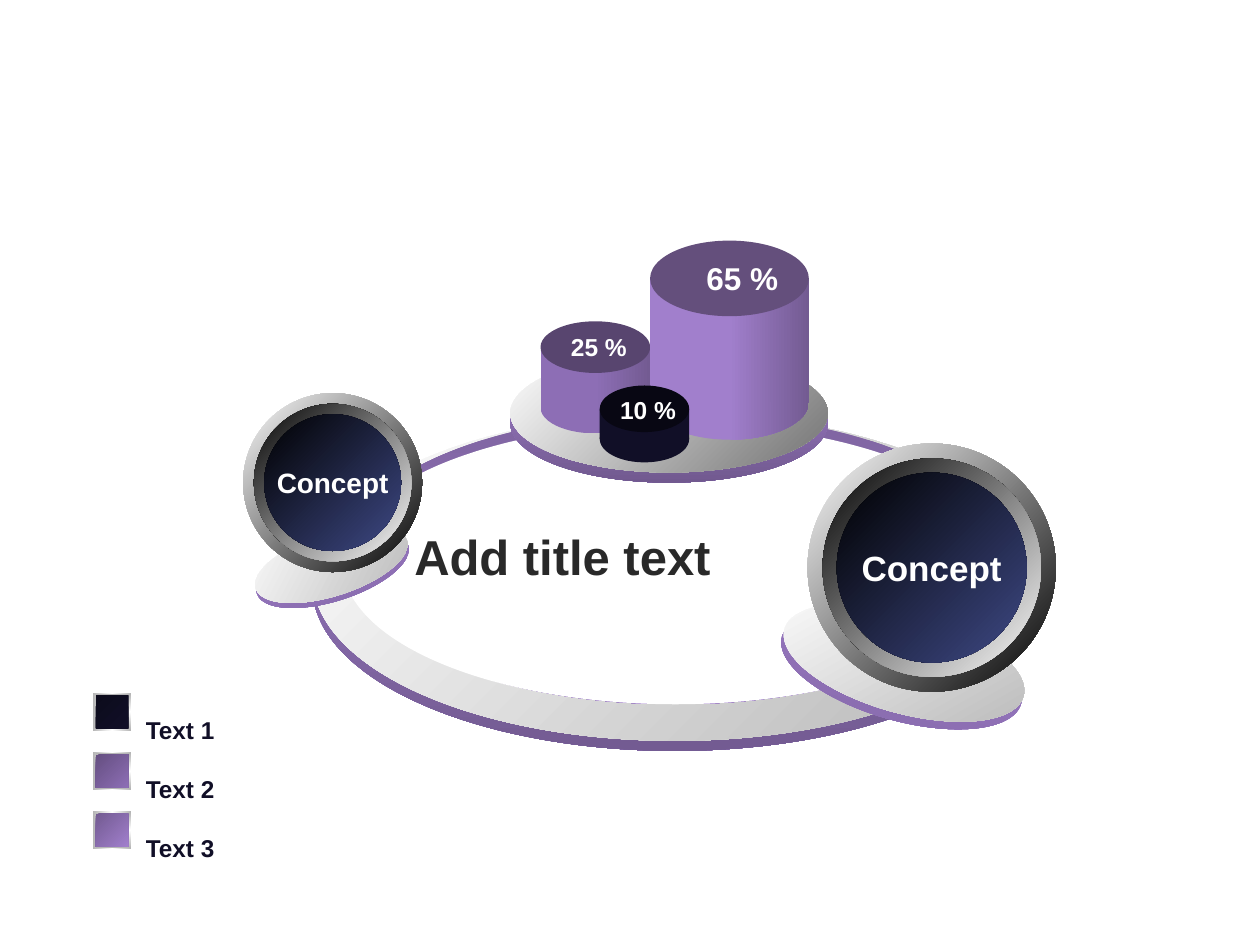
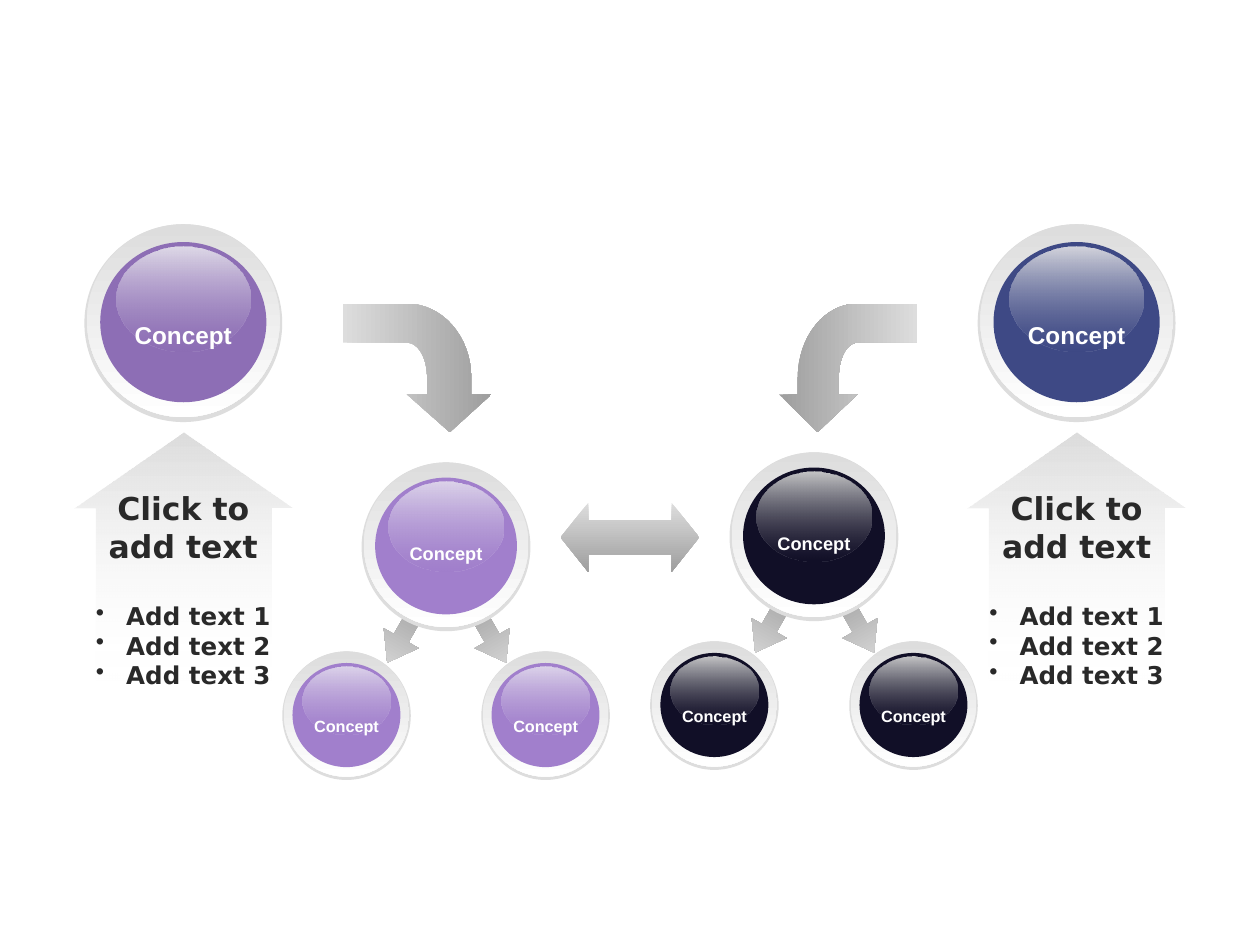
from dataclasses import dataclass

from pptx import Presentation
from pptx.dml.color import RGBColor as Rgb
from pptx.enum.shapes import MSO_SHAPE as Kind
from pptx.enum.text import MSO_ANCHOR as Anchor, PP_ALIGN as Align
from pptx.oxml import parse_xml
from pptx.oxml.ns import nsdecls, qn
from pptx.util import Inches, Pt


@dataclass(frozen=True)
class Theme:
    """Colours, fonts and type sizes of the deck."""
    white: str = "FFFFFF"
    black: str = "000000"
    ink: str = "292929"
    night: str = "110F27"
    navy: str = "3E4985"
    plum: str = "8D6EB5"
    lilac: str = "A17FCC"
    shade: str = "735B92"
    rim: str = "8367A6"
    pale: str = "DDDDDD"
    grey: str = "9E9E9E"
    steel: str = "B6B6B6"
    dark: str = "727272"
    sans: str = "Arial"
    body: str = "DejaVu Sans"
    title: int = 28
    large: int = 24
    medium: int = 20
    head: int = 18
    small: int = 16
    note: int = 14


T = Theme()


def blend(*stops, angle=90):
    """Describe a gradient of evenly spaced colours or (colour, alpha) pairs."""
    return stops, angle


def paint(shape, fill):
    """Give a shape a solid, graded or empty fill and no line or shadow."""
    shape.shadow.inherit = False
    shape.line.fill.background()
    if isinstance(fill, str):
        shape.fill.solid()
        shape.fill.fore_color.rgb = Rgb.from_string(fill)
        return
    shape.fill.background()
    if fill is None:
        return
    stops, angle = fill
    marks = ""
    for i, stop in enumerate(stops):
        tone, alpha = (stop, 100) if isinstance(stop, str) else stop
        spot = 100000 * i // (len(stops) - 1)
        marks += (f'<a:gs pos="{spot}"><a:srgbClr val="{tone}">'
                  f'<a:alpha val="{alpha * 1000}"/></a:srgbClr></a:gs>')
    grad = parse_xml(f'<a:gradFill {nsdecls("a")} rotWithShape="1"><a:gsLst>{marks}'
                     f'</a:gsLst><a:lin ang="{angle * 60000}" scaled="0"/></a:gradFill>')
    props = shape._element.spPr
    props.replace(props.find(qn("a:noFill")), grad)


def draw(shapes, kind, box, fill=None, turn=0, adjust=()):
    """Add a preset shape."""
    shape = shapes.add_shape(kind, *map(Inches, box))
    shape.rotation = turn
    for i, value in enumerate(adjust):
        shape.adjustments[i] = value
    paint(shape, fill)
    return shape


def oval(shapes, box, fill, turn=0):
    """Add an ellipse."""
    return draw(shapes, Kind.OVAL, box, fill, turn)


def style(para, size, color, font=T.sans, align=Align.LEFT):
    """Set the bold type of a paragraph."""
    para.alignment = align
    para.font.size, para.font.name, para.font.bold = Pt(size), font, True
    para.font.color.rgb = Rgb.from_string(color)


def write(shape, text, size, color=T.white, align=Align.CENTER, wrap=False):
    """Put one line of text in the middle of a shape."""
    frame = shape.text_frame
    frame.word_wrap, frame.vertical_anchor = wrap, Anchor.MIDDLE
    frame.text = text
    style(frame.paragraphs[0], size, color, align=align)


def label(shapes, box, text, size, color, align=Align.LEFT):
    """Add a text box with lowered type."""
    frame = shapes.add_textbox(*map(Inches, box)).text_frame
    frame.word_wrap = True
    para = frame.paragraphs[0]
    run = para.add_run()
    run.text = text
    run._r.get_or_add_rPr().set("baseline", "-25000")
    style(para, size, color, align=align)


def trace(shapes, paths, fill):
    """Add a closed outline of one or more paths in inches."""
    pen = None
    for path in paths:
        first, *rest = [tuple(map(Inches, point)) for point in path]
        if pen is None:
            pen = shapes.build_freeform(*first)
        else:
            pen.move_to(*first)
        pen.add_line_segments(rest, close=True)
    paint(pen.convert_to_shape(), fill)


def curve(a, b, c, d, steps=16):
    """Return points along a Bezier curve after its start."""
    return [tuple((1 - t) ** 3 * p + 3 * t * (1 - t) ** 2 * q
                  + 3 * t * t * (1 - t) * r + t ** 3 * s
                  for p, q, r, s in zip(a, b, c, d))
            for t in (i / steps for i in range(1, steps + 1))]


def plate(shapes, low, high, turn, shade, end):
    """Add a tilted plate: a coloured rim under a metal face."""
    group = shapes.add_group_shape().shapes
    oval(group, low, blend(T.lilac, shade), turn)
    oval(group, high, blend(T.white, end, angle=45), turn)


def medal(shapes, x, y, size, type_size):
    """Add a round badge with two metal rings."""
    rings = ((1, T.white, T.black), (0.88, T.black, T.white), (0.765, T.black, T.navy))
    for ratio, start, end in rings:
        gap, side = size * (1 - ratio) / 2, size * ratio
        face = oval(shapes, (x + gap, y + gap, side, side), blend(start, end, angle=45))
    write(face, "Concept", type_size)


def drum(shapes, x, y, wide, cap, base, side, top):
    """Add a cylinder that reaches down to base."""
    oval(shapes, (x, base - cap, wide, cap), side)
    draw(shapes, Kind.RECTANGLE, (x, y + cap / 2, wide, base - y - cap), side)
    oval(shapes, (x, y, wide, cap), top)


def badge(shapes, box, text, size):
    """Add a percentage in an unfilled pill."""
    pill = draw(shapes, Kind.ROUNDED_RECTANGLE, box, adjust=(0.5,))
    write(pill, text, size, align=Align.LEFT, wrap=True)


def legend(shapes, row, tones):
    """Add a framed swatch and its caption."""
    x, y = 0.74, 5.5 + 0.47 * row
    frame = (T.steel, T.white, T.steel)
    layers = ((0, 0, 0.3, blend(*frame, angle=0)), (0.02, 0.01, 0.28, blend(*frame)),
              (0.02, 0.02, 0.26, blend(*tones, angle=45)))
    for dx, dy, side, fill in layers:
        draw(shapes, Kind.RECTANGLE, (x + dx, y + dy, side, side), fill)
    label(shapes, (1.06, y - 0.1, 0.84, 0.37), f"Text {row + 1}", T.large, T.night)


def orb(shapes, x, y, size, tone, shine, type_size):
    """Add a glossy ball in a pale ring."""
    group = shapes.add_group_shape().shapes
    layers = ((0, 0, 1, 1, T.pale), (0.013, 0, 0.975, 0.975, blend(T.pale, T.white)),
              (0.08, 0.09, 0.84, 0.81, tone),
              (0.16, 0.115, 0.68, 0.53, blend(shine, (tone, 37))))
    for dx, dy, wide, high, fill in layers:
        oval(group, (x + dx * size, y + dy * size, wide * size, high * size), fill)
    label(group, (x, y + 0.31 * size, size, 0.3), "Concept", type_size, T.white,
          Align.CENTER)


def elbow(shapes, x, scale, tones):
    """Add a bent arrow that starts at x and turns down."""
    points = [(0.85, 3.43), (1.18, 3.13), (1.02, 3.13), (1.02, 3),
              *curve((1.02, 3), (1.02, 2.67), (0.79, 2.41), (0.51, 2.41)),
              (0, 2.41), (0, 2.72), (0.51, 2.72),
              *curve((0.51, 2.72), (0.6, 2.72), (0.67, 2.84), (0.67, 3)),
              (0.67, 3.13), (0.51, 3.13)]
    trace(shapes, [[(x + scale * dx, y) for dx, y in points]], blend(*tones, angle=0))


def column(shapes, x):
    """Add a fading up arrow with a heading and a list."""
    group = shapes.add_group_shape().shapes
    left, right = x + 0.17, x + 1.56
    arrow = [(x, 4.03), (left, 4.03), (left, 5.1), (right, 5.1), (right, 4.03),
             (x + 1.73, 4.03), (x + 0.865, 3.43)]
    bars = [[(left, low), (right, low), (right, high), (left, high)]
            for low, high in ((5.28, 5.16), (5.4, 5.34))]
    trace(group, [arrow, *bars], blend(T.pale, (T.white, 0)))
    frame = group.add_textbox(*map(Inches, (x, 3.83, 1.73, 1.7))).text_frame
    frame.word_wrap = True
    frame.text = "Click to add text\nAdd text 1\nAdd text 2\nAdd text 3"
    head, *items = frame.paragraphs
    style(head, T.head, T.ink, T.body, Align.CENTER)
    for item in items:
        style(item, T.note, T.ink, T.body, Align.CENTER)
        props = item._p.get_or_add_pPr()
        props.set("marL", str(Inches(0.24)))
        props.set("indent", str(-Inches(0.24)))
        props.insert_element_before(
            parse_xml(f'<a:buChar {nsdecls("a")} char="•"/>'), "a:tabLst", "a:defRPr")
    items[0].space_before = Pt(21)


def tree(shapes, x, y, tone, shine):
    """Add a ball with arrows to two smaller ones."""
    for dx, turn in ((0.87, 330.2), (0.16, 29.7)):
        draw(shapes, Kind.DOWN_ARROW, (x + dx, y + 1.15, 0.32, 0.47),
             blend(T.grey, T.pale), turn, (0.418, 0.698))
    orb(shapes, x, y, 1.34, tone, shine, T.head)
    for dx in (-0.63, 0.95):
        orb(shapes, x + dx, y + 1.5, 1.02, tone, shine, T.small)


def orbit(shapes):
    """Build the ring with cylinders, badges and legend."""
    ring = (((2.48, 3.36, 5.75, 2.6), blend(T.lilac, T.shade)),
            ((2.48, 3.28, 5.75, 2.6), blend(T.white, T.steel, angle=45)),
            ((2.72, 3.28, 5.28, 2.31), blend("7F64A1", T.lilac)),
            ((2.72, 3.36, 5.28, 2.23), T.white))
    for box, fill in ring:
        oval(shapes, box, fill)
    plate(shapes, (4.05, 2.89, 2.52, 0.94), (4.05, 2.81, 2.52, 0.94), 0, "71598F", T.dark)
    plate(shapes, (6.17, 4.92, 1.97, 0.8), (6.19, 4.86, 1.97, 0.8), 15.7, T.rim, T.steel)
    plate(shapes, (2.01, 4.27, 1.26, 0.5), (2, 4.23, 1.26, 0.5), 342.3, T.rim, T.steel)
    drum(shapes, 4.29, 2.55, 0.87, 0.41, 3.44, blend(T.plum, T.plum, T.shade, angle=0),
         "58456F")
    drum(shapes, 5.16, 1.91, 1.26, 0.6, 3.49, blend(T.lilac, T.lilac, T.shade, angle=0),
         "644F7C")
    drum(shapes, 4.76, 3.06, 0.71, 0.37, 3.67, T.night, "080713")
    medal(shapes, 1.93, 3.12, 1.42, T.small)
    medal(shapes, 6.41, 3.52, 1.97, T.medium)
    title = shapes.add_textbox(*map(Inches, (3.19, 4.09, 3.23, 0.64)))
    write(title, "Add title text", T.title, T.ink, Align.LEFT, wrap=True)
    swatches = (("0C0B1C", T.night), ("654F81", T.plum), (T.shade, T.lilac))
    for row, tones in enumerate(swatches):
        legend(shapes, row, tones)
    badge(shapes, (5.43, 1.94, 0.99, 0.53), "65 %", T.head)
    badge(shapes, (4.37, 2.54, 0.79, 0.43), "25 %", T.note)
    badge(shapes, (4.76, 3.04, 0.79, 0.43), "10 %", T.note)


def flow(shapes):
    """Build the two mirrored branches and the arrows between them."""
    elbow(shapes, 2.72, 1, (T.pale, T.grey))
    elbow(shapes, 7.28, -0.93, (T.grey, T.pale))
    draw(shapes, Kind.LEFT_RIGHT_ARROW, (4.45, 3.99, 1.1, 0.55), blend(T.pale, T.grey),
         adjust=(0.5, 0.4))
    for x in (0.59, 7.68):
        column(shapes, x)
    tree(shapes, 2.87, 3.67, T.lilac, "DCD3EA")
    tree(shapes, 5.79, 3.59, T.night, "C6C6C7")
    orb(shapes, 0.67, 1.78, 1.57, T.plum, "DFDAE8", T.large)
    orb(shapes, 7.76, 1.78, 1.57, T.navy, "D4D5DD", T.large)


def main():
    """Build and save the deck."""
    deck = Presentation()
    deck.slide_width, deck.slide_height = Inches(10), Inches(7.5)
    for build in (orbit, flow):
        build(deck.slides.add_slide(deck.slide_layouts[6]).shapes)
    deck.save("out.pptx")


if __name__ == "__main__":
    main()
